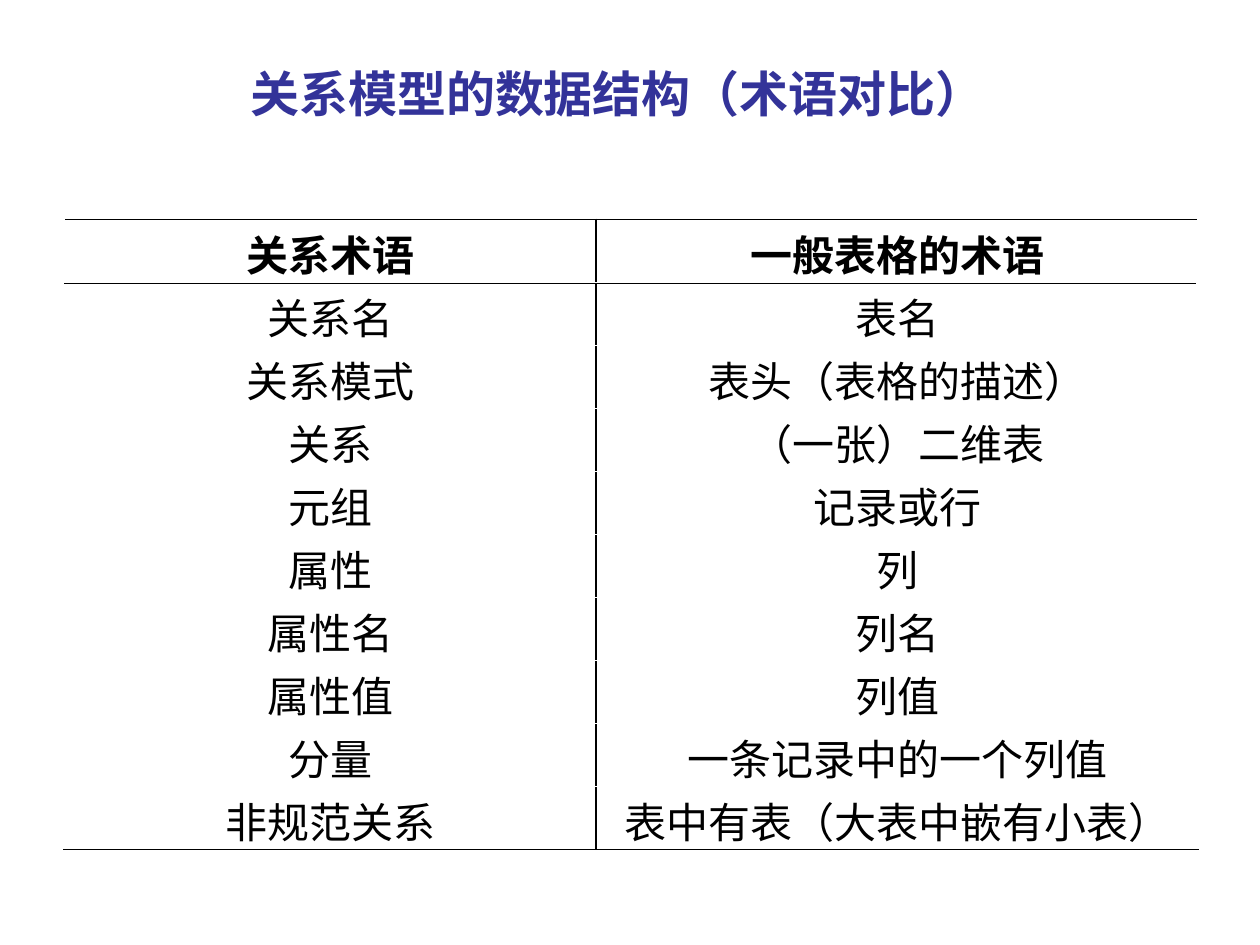
from lxml.etree import SubElement as Sub
from pptx import Presentation
from pptx.dml.color import RGBColor as RGB
from pptx.enum.shapes import MSO_CONNECTOR as Conn
from pptx.enum.text import MSO_ANCHOR as Anchor, PP_ALIGN as Align
from pptx.oxml.ns import qn
from pptx.util import Inches, Pt

ROWS = [
    ("关系术语", "一般表格的术语"),
    ("关系名", "表名"),
    ("关系模式", "表头（表格的描述）"),
    ("关系", "（一张）二维表"),
    ("元组", "记录或行"),
    ("属性", "列"),
    ("属性名", "列名"),
    ("属性值", "列值"),
    ("分量", "一条记录中的一个列值"),
    ("非规范关系", "表中有表（大表中嵌有小表）"),
]


def color(code):
    return RGB.from_string(code)


class Page:
    ink = "000000"
    blue = "333399"
    head = "Arial"
    body = "Noto Sans CJK SC"

    def __init__(self, deck):
        self.slide = deck.slides.add_slide(deck.slide_layouts[6])

    def label(self, para, text, size, face, tint, bold):
        para.text = text
        para.alignment = Align.CENTER
        font = para.font
        font.name, font.size, font.bold = face, Pt(size), bold
        font.color.rgb = color(tint)

    def title(self, text, *area):
        box = self.slide.shapes.add_textbox(*map(Inches, area))
        frame = box.text_frame
        frame.word_wrap = True
        frame.margin_top = frame.margin_bottom = 0
        self.label(frame.paragraphs[0], text, 28, self.head, self.blue, True)

    def border(self, cell, sides):
        props = cell._tc.get_or_add_tcPr()
        for side in sides:
            line = Sub(props, qn(f"a:ln{side}"), w=str(Pt(1)))
            fill = Sub(line, qn("a:solidFill"))
            Sub(fill, qn("a:srgbClr"), val=self.ink)

    def table(self, rows, left, top, widths, high):
        area = (left, top, sum(widths), high * len(rows))
        grid = self.slide.shapes.add_table(
            len(rows), len(widths), *map(Inches, area)).table
        grid.first_row = grid.horz_banding = False
        for col, wide in zip(grid.columns, widths):
            col.width = Inches(wide)
        last = len(rows) - 1
        for r, row in enumerate(rows):
            grid.rows[r].height = Inches(high)
            for c, text in enumerate(row):
                cell = grid.cell(r, c)
                # Centre rule plus outer top and bottom rules
                sides = ["R" if c == 0 else "L"]
                if r == 0:
                    sides.append("T")
                if r == last:
                    sides.append("B")
                self.border(cell, sides)
                cell.fill.background()
                cell.margin_top, cell.margin_bottom = Inches(0.06), 0
                cell.vertical_anchor = Anchor.BOTTOM
                para = cell.text_frame.paragraphs[0]
                self.label(para, text, 24, self.body, self.ink, r == 0)
                para.line_spacing = 0.9

    def line(self, *ends):
        rule = self.slide.shapes.add_connector(
            Conn.STRAIGHT, *map(Inches, ends))
        rule.line.color.rgb = color(self.ink)
        rule.line.width = Pt(0.75)
        Sub(rule._element.spPr, qn("a:effectLst"))


def main():
    deck = Presentation()
    deck.slide_width, deck.slide_height = Inches(10), Inches(7.5)
    page = Page(deck)

    # Heading
    page.title("关系模型的数据结构（术语对比）", 0.86, 0.5, 8.08, 0.62)

    # Term comparison, with a rule under its header
    page.table(ROWS, 0.51, 1.74, (4.22, 4.78), 0.5)
    page.line(0.51, 2.25, 9.49, 2.25)

    deck.save("out.pptx")


if __name__ == "__main__":
    main()
